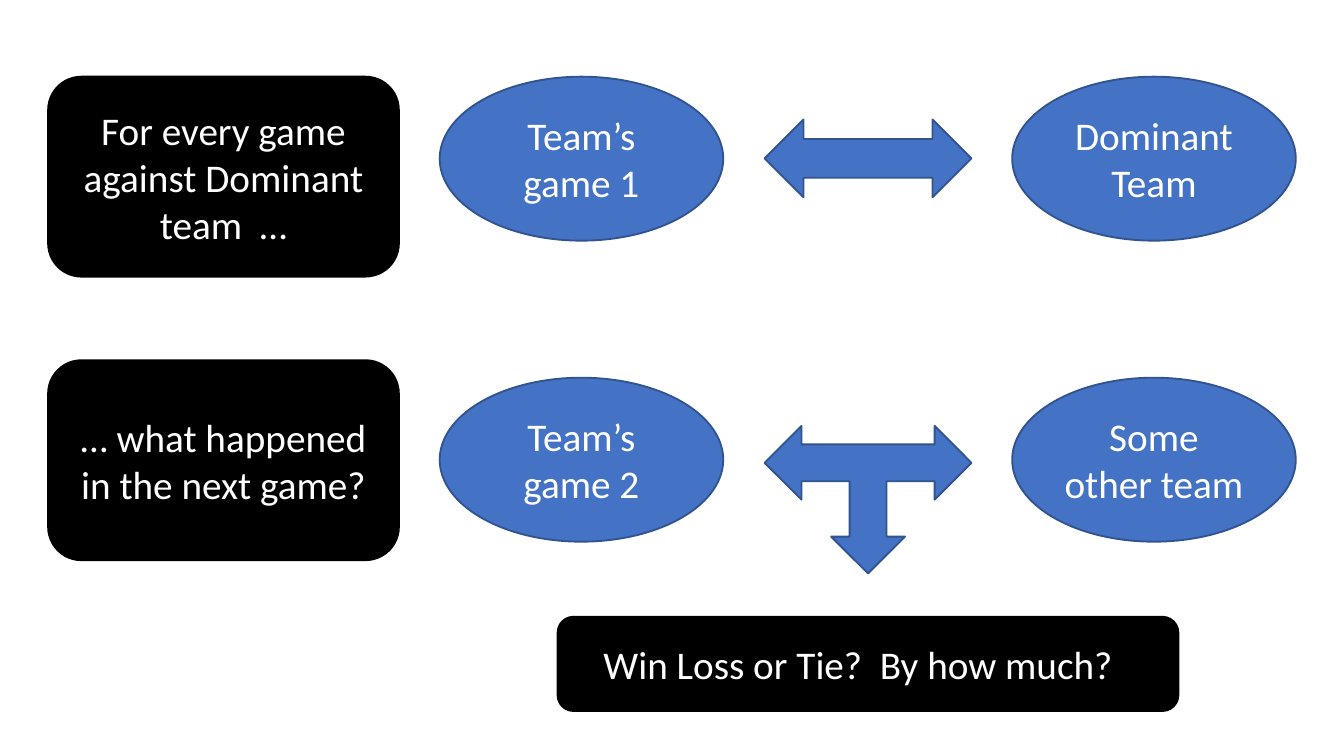
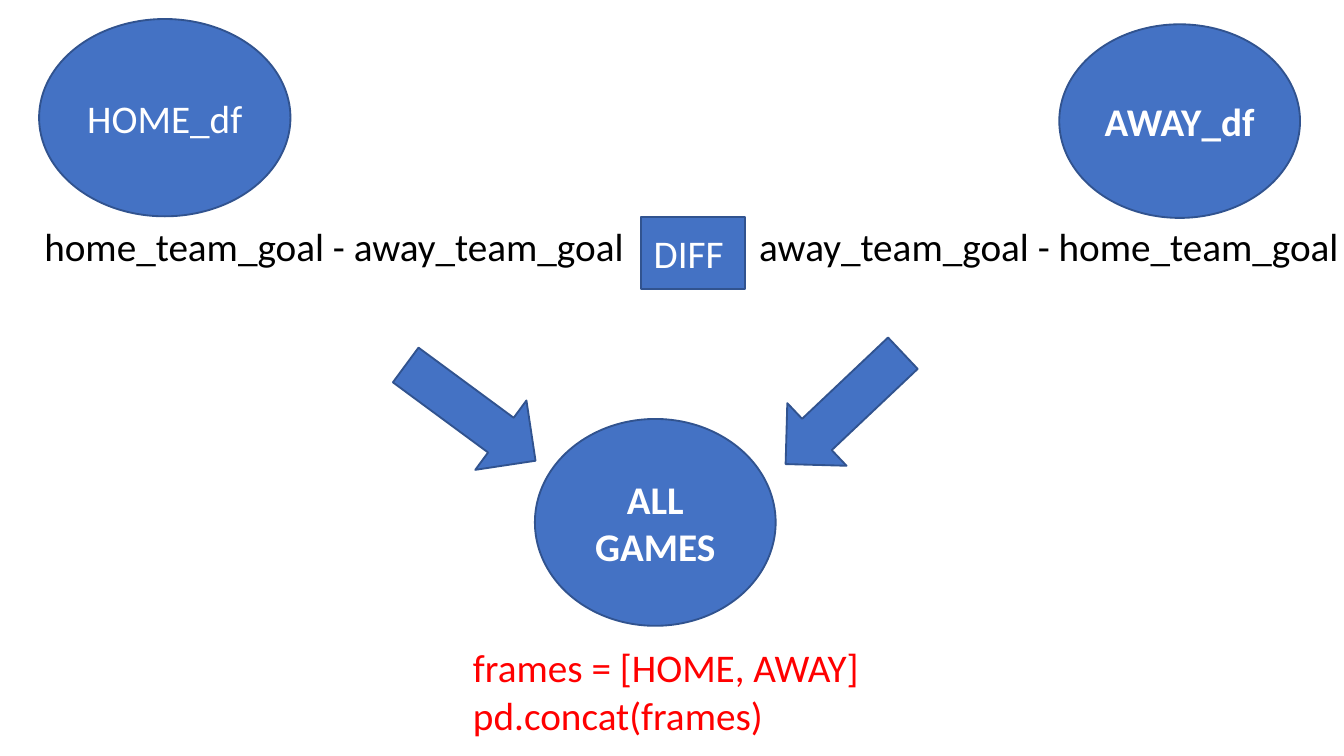
from pptx import Presentation
from pptx.dml.color import RGBColor
from pptx.enum.shapes import MSO_SHAPE
from pptx.enum.text import MSO_ANCHOR, PP_ALIGN
from pptx.util import Cm, Pt

BLUE = RGBColor(0x44, 0x72, 0xC4)
NAVY = RGBColor(0x31, 0x53, 0x8F)
BLACK = RGBColor(0x00, 0x00, 0x00)
WHITE = RGBColor(0xFF, 0xFF, 0xFF)
RED = RGBColor(0xFF, 0x00, 0x00)

FONT = "Calibri"
SIZE = Pt(21)
INSET_X, INSET_Y = 0.18, 0.1


def write(sp, text, color=WHITE, bold=False, align=PP_ALIGN.CENTER,
          anchor=MSO_ANCHOR.MIDDLE, right=INSET_X):
    """Fill a shape with text, one paragraph per line."""
    tf = sp.text_frame
    tf.word_wrap = True
    tf.vertical_anchor = anchor
    tf.margin_left, tf.margin_right = Cm(INSET_X), Cm(right)
    tf.margin_top = tf.margin_bottom = Cm(INSET_Y)
    for i, line in enumerate(text.split("\n")):
        p = tf.add_paragraph() if i else tf.paragraphs[0]
        p.alignment = align
        r = p.add_run()
        r.text = line
        r.font.name, r.font.size = FONT, SIZE
        r.font.bold = bold
        r.font.color.rgb = color


class Deck:
    """Holds the presentation style and the current slide."""

    def __init__(self):
        self.prs = Presentation()
        self.prs.slide_width, self.prs.slide_height = Cm(25.4), Cm(14.29)
        self.s = None

    def new_slide(self):
        self.s = self.prs.slides.add_slide(self.prs.slide_layouts[6])

    def shape(self, kind, box, fill=BLUE, line=NAVY):
        sp = self.s.shapes.add_shape(kind, *map(Cm, box))
        sp.shadow.inherit = False
        sp.fill.solid()
        sp.fill.fore_color.rgb = fill
        sp.line.color.rgb = line
        sp.line.width = Pt(1)
        return sp

    def ellipse(self, text, *box, **fmt):
        write(self.shape(MSO_SHAPE.OVAL, box), text, **fmt)

    def label(self, text, *box, **fmt):
        write(self.shape(MSO_SHAPE.RECTANGLE, box), text, **fmt)

    def card(self, text, *box, **fmt):
        sp = self.shape(MSO_SHAPE.ROUNDED_RECTANGLE, box, BLACK, BLACK)
        write(sp, text, **fmt)

    def arrow(self, kind, *box, rotation=0):
        self.shape(kind, box).rotation = rotation

    def text(self, text, *box, **fmt):
        sp = self.s.shapes.add_textbox(*map(Cm, box))
        write(sp, text, anchor=MSO_ANCHOR.TOP, **fmt)


def games_slide(deck):
    deck.new_slide()

    # One row per game: question card, team, opponent
    rows = [
        (1.45, 1.45, "For every game against Dominant team  …",
         "Team’s\ngame 1", "Dominant Team"),
        (6.81, 7.14, "… what happened in the next game?",
         "Team’s\ngame 2", "Some other team "),
    ]
    for card_top, team_top, question, team, opponent in rows:
        deck.card(question, 0.91, card_top, 6.63, 3.78)
        deck.ellipse(team, 8.31, team_top, 5.36, 3.1)
        deck.ellipse(opponent, 19.13, team_top, 5.36, 3.1)

    # Arrows between the teams and the outcome
    deck.arrow(MSO_SHAPE.LEFT_RIGHT_ARROW, 14.45, 2.26, 3.91, 1.47)
    deck.arrow(MSO_SHAPE.LEFT_RIGHT_UP_ARROW, 14.45, 8.05, 3.91, 2.79,
               rotation=180)
    deck.card("Win Loss or Tie?  By how much?", 10.54, 11.66, 11.73, 1.78,
              right=0.55)


def frames_slide(deck):
    deck.new_slide()

    # Source frames
    deck.ellipse("HOME_df", 0.74, 0.36, 4.75, 3.73)
    deck.ellipse("AWAY_df", 20.02, 0.46, 4.55, 3.66, bold=True)

    # Goal difference on each side
    for left, formula in [(0.41, "home_team_goal - away_team_goal"),
                          (13.92, "away_team_goal - home_team_goal")]:
        deck.text(formula, left, 4.11, 11.81, 1.09, color=BLACK)
    deck.label("DIFF ", 12.12, 4.11, 1.96, 1.35)

    # Both frames joined into one
    for left, top, angle in [(7.37, 6.99, 36.4), (14.43, 6.91, 136.6)]:
        deck.arrow(MSO_SHAPE.RIGHT_ARROW, left, top, 3.05, 1.63,
                   rotation=angle)
    deck.ellipse("ALL GAMES", 10.11, 7.92, 4.55, 3.91, bold=True)
    deck.text("frames = [HOME, AWAY]\npd.concat(frames)",
              8.76, 12.07, 8.26, 2.57, color=RED, align=PP_ALIGN.LEFT)


def main():
    deck = Deck()
    games_slide(deck)
    frames_slide(deck)
    deck.prs.save("out.pptx")


if __name__ == "__main__":
    main()
